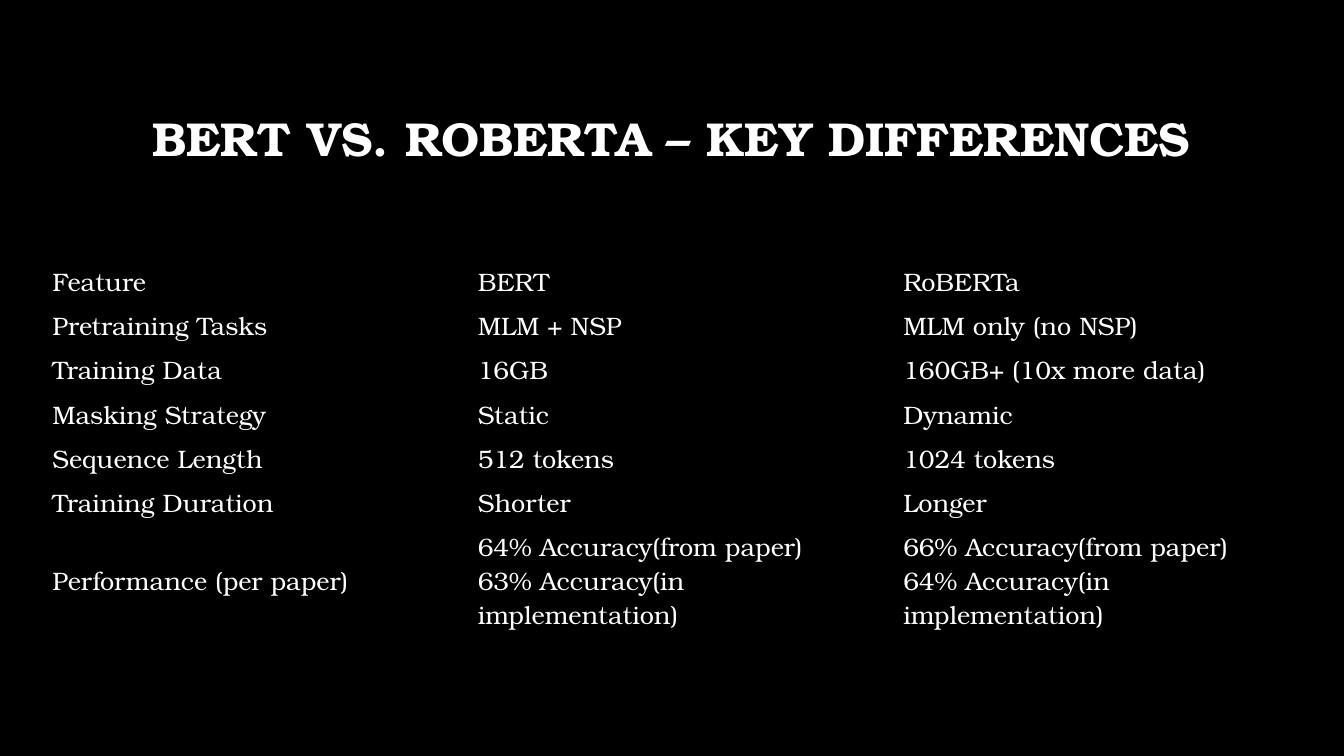
from pptx import Presentation
from pptx.dml.color import RGBColor
from pptx.enum.text import MSO_ANCHOR, PP_ALIGN
from pptx.oxml.ns import qn
from pptx.util import Inches, Pt

BLACK = RGBColor(0x00, 0x00, 0x00)
WHITE = RGBColor(0xFF, 0xFF, 0xFF)
NO_GRID_STYLE = "{2D5ABB26-0587-4C30-8999-92F81FD0307C}"

COMPARISON = [
    ("Feature", "BERT", "RoBERTa"),
    ("Pretraining Tasks", "MLM + NSP", "MLM only (no NSP)"),
    ("Training Data", "16GB", "160GB+ (10x more data)"),
    ("Masking Strategy", "Static", "Dynamic"),
    ("Sequence Length", "512 tokens", "1024 tokens"),
    ("Training Duration", "Shorter", "Longer"),
    ("Performance (per paper)",
     "64% Accuracy(from paper)\n63% Accuracy(in implementation)",
     "66% Accuracy(from paper)\n64% Accuracy(in implementation)"),
]


class SlideBuilder:
    """Holds the text style and the page being filled."""

    font_name = "TeX Gyre Bonum"
    title_format = {"size": Pt(34), "bold": True}
    cell_format = {"size": Pt(18), "bold": False}

    def __init__(self, page, background):
        self.page = page
        fill = page.background.fill
        fill.solid()
        fill.fore_color.rgb = background

    def fill_text(self, frame, text, font_format, **para_format):
        frame.text = text
        for para in frame.paragraphs:
            for name, value in para_format.items():
                setattr(para, name, value)
            for span in para.runs:
                for name, value in {"name": self.font_name, **font_format}.items():
                    setattr(span.font, name, value)
                span.font.color.rgb = WHITE

    def title(self, text, left, top, width, height):
        box = self.page.shapes.add_textbox(
            Inches(left), Inches(top), Inches(width), Inches(height))
        frame = box.text_frame
        frame.word_wrap = True
        frame.vertical_anchor = MSO_ANCHOR.MIDDLE
        self.fill_text(frame, text, self.title_format,
                       alignment=PP_ALIGN.CENTER, line_spacing=0.9)

    def table(self, rows, left, top, column_width, row_heights):
        column_count = len(rows[0])
        table = self.page.shapes.add_table(
            len(rows), column_count, Inches(left), Inches(top),
            Inches(column_width * column_count), Inches(sum(row_heights))).table
        # Plain style: no header, bands or grid lines
        table.first_row = table.horz_banding = False
        table._tbl.tblPr.find(qn("a:tableStyleId")).text = NO_GRID_STYLE
        for column in table.columns:
            column.width = Inches(column_width)
        for row, height, texts in zip(table.rows, row_heights, rows):
            row.height = Inches(height)
            for cell, text in zip(row.cells, texts):
                cell.fill.background()
                cell.vertical_anchor = MSO_ANCHOR.MIDDLE
                self.fill_text(cell.text_frame, text, self.cell_format)


def main():
    deck = Presentation()
    deck.slide_width, deck.slide_height = Inches(13.33), Inches(7.5)
    builder = SlideBuilder(deck.slides.add_slide(deck.slide_layouts[6]), BLACK)

    # Heading
    builder.title("BERT VS. ROBERTA – KEY DIFFERENCES", 1, 0.67, 11.32, 1.45)

    # Model comparison, with a taller last row
    row_heights = [0.44] * (len(COMPARISON) - 1) + [1.09]
    builder.table(COMPARISON, 0.42, 2.57, 4.22, row_heights)

    deck.save("out.pptx")


if __name__ == "__main__":
    main()
